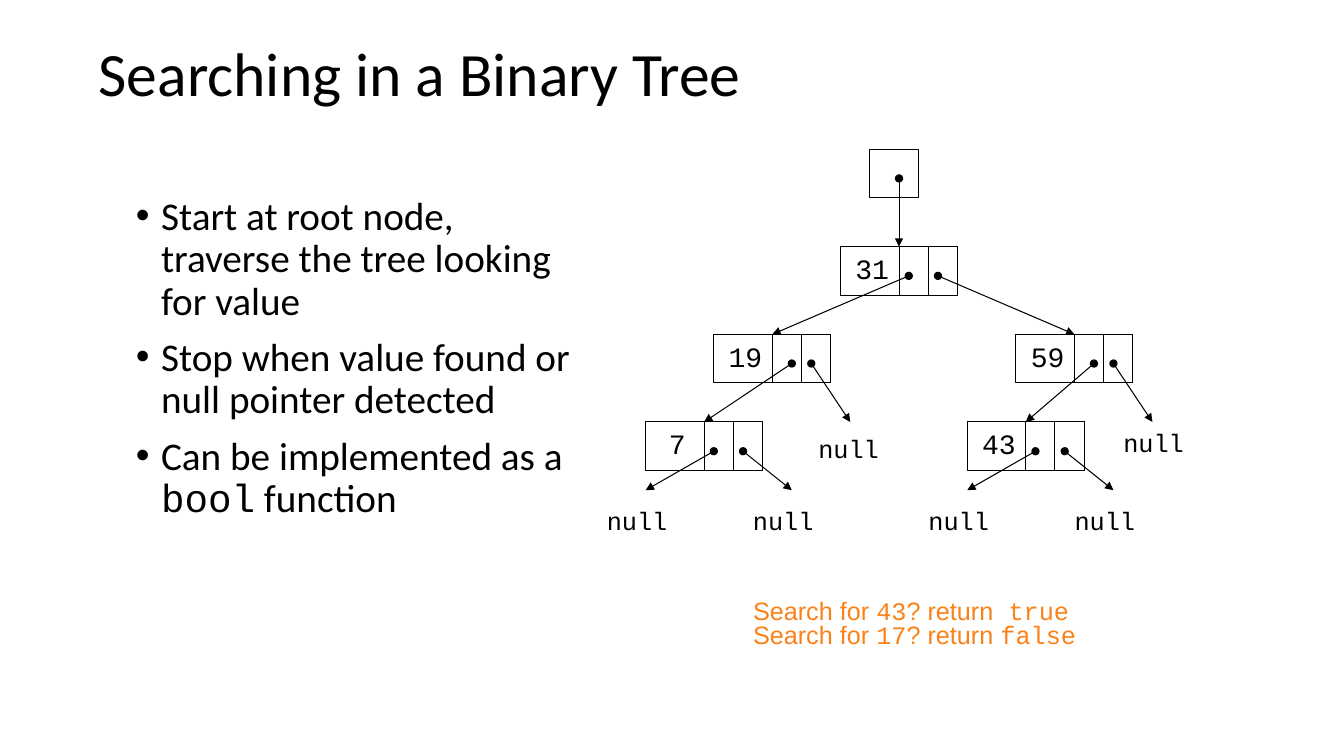
from pptx import Presentation
from pptx.dml.color import RGBColor
from pptx.enum.shapes import MSO_CONNECTOR, MSO_SHAPE
from pptx.enum.text import MSO_ANCHOR, PP_ALIGN
from pptx.oxml.ns import qn
from pptx.util import Inches, Pt
from lxml.etree import SubElement

BLACK = RGBColor(0x00, 0x00, 0x00)
ORANGE = RGBColor(0xFA, 0x82, 0x18)
SANS, MONO, ARIAL = "Calibri", "Courier New", "Arial"

TITLE = [[("Searching in a Binary Tree", SANS)]]
BULLETS = [
    [("Start at root node, traverse the tree looking for value", SANS)],
    [("Stop when value found or null pointer detected", SANS)],
    [("Can be implemented as a ", SANS), ("bool", MONO), (" function", SANS)],
]
SEARCHES = [
    [("Search for ", ARIAL), ("43", MONO), ("? return", ARIAL), (" true", MONO)],
    [("Search for ", ARIAL), ("17", MONO), ("? return ", ARIAL), ("false", MONO)],
]

# The tree lies on a square grid; places are (column, row).
UNIT, TREE_LEFT, TREE_TOP = 0.29 / 3, 5.92, 1.48
VALUE_W, LINK_W, NODE_H = 6, 3, 5
ROOT = (28, 0)
NODES = {"31": (25, 10), "59": (43, 19), "19": (12, 19), "7": (5, 28), "43": (38, 28)}
# Each node: columns from its left edge to the two link dots, then two targets.
# A target is another node's value or the grid place of a null arrow's tip.
LINKS = {
    "31": ((7, "19"), (10, "59")),
    "19": ((8, "7"), (10, (26, 28))),
    "59": ((8, "43"), (10, (57, 28))),
    "7": ((7, (5, 35)), (10, (20, 35))),
    "43": ((7, (38, 35)), (10, (53, 35))),
}
NULLS = [(21.7, 28.7), (53, 28), (0, 36), (15, 36), (33, 36), (48, 36)]


def grid(col, row):
    return Inches(TREE_LEFT + col * UNIT), Inches(TREE_TOP + row * UNIT)


def span(units):
    return Inches(units * UNIT)


def add_text(slide, lines, left, top, width, height, size, color=BLACK,
             wrap=True, anchor=MSO_ANCHOR.TOP, align=PP_ALIGN.LEFT,
             spacing=1.0, gap=0, bullet=None):
    """Each line is a list of (text, font name) runs."""
    tf = slide.shapes.add_textbox(left, top, width, height).text_frame
    tf.word_wrap, tf.vertical_anchor = wrap, anchor
    for i, runs in enumerate(lines):
        p = tf.add_paragraph() if i else tf.paragraphs[0]
        p.alignment, p.line_spacing = align, spacing
        if i and gap:
            p.space_before = Pt(gap)
        if bullet:
            pPr = p._p.get_or_add_pPr()
            pPr.set("marL", str(Inches(0.25)))
            pPr.set("indent", str(-Inches(0.25)))
            SubElement(pPr, qn("a:buFont"), typeface=ARIAL)
            SubElement(pPr, qn("a:buChar"), char=bullet)
        for text, font in runs:
            r = p.add_run()
            r.text = text
            r.font.name, r.font.size = font, Pt(size)
            r.font.color.rgb = color


def add_box(slide, col, row, cols):
    sp = slide.shapes.add_shape(MSO_SHAPE.RECTANGLE, *grid(col, row),
                                span(cols), span(NODE_H))
    sp.shadow.inherit = False
    sp.fill.background()
    sp.line.color.rgb, sp.line.width = BLACK, Pt(0.75)


def add_pointer(slide, start, end):
    line = slide.shapes.add_connector(MSO_CONNECTOR.STRAIGHT, *grid(*start), *grid(*end))
    line.line.color.rgb, line.line.width = BLACK, Pt(0.75)
    ln = line.line._get_or_add_ln()
    SubElement(ln, qn("a:headEnd"), type="oval")
    SubElement(ln, qn("a:tailEnd"), type="triangle")
    SubElement(line._element.spPr, qn("a:effectLst"))


def add_node(slide, value, col, row):
    add_box(slide, col, row, VALUE_W + 2 * LINK_W)
    for i in range(2):
        add_box(slide, col + VALUE_W + i * LINK_W, row, LINK_W)
    add_text(slide, [[(value, MONO)]], *grid(col, row), span(6.5), Inches(0.5), 20,
             wrap=False, align=PP_ALIGN.CENTER)


def main():
    prs = Presentation()
    prs.slide_width, prs.slide_height = Inches(13.33), Inches(7.5)
    slide = prs.slides.add_slide(prs.slide_layouts[6])

    add_text(slide, TITLE, Inches(0.88), Inches(0.03), Inches(11.5), Inches(1.45), 44,
             anchor=MSO_ANCHOR.MIDDLE, spacing=0.9)
    add_text(slide, BULLETS, Inches(1.25), Inches(1.9), Inches(4.67), Inches(4.05), 28,
             spacing=0.9, gap=10, bullet="•")

    add_box(slide, *ROOT, NODE_H)
    for value, place in NODES.items():
        add_node(slide, value, *place)

    add_pointer(slide, (ROOT[0] + 3, ROOT[1] + 3), (ROOT[0] + 3, NODES["31"][1]))
    for value, links in LINKS.items():
        col, row = NODES[value]
        for dot, target in links:
            if target in NODES:
                child_col, child_row = NODES[target]
                target = (child_col + VALUE_W, child_row)
            add_pointer(slide, (col + dot, row + 3), target)

    for place in NULLS:
        add_text(slide, [[("null", MONO)]], *grid(*place), Inches(0.8), Inches(0.46), 18,
                 wrap=False)
    add_text(slide, SEARCHES, Inches(7.37), Inches(5.91), Inches(3.98), Inches(0.69), 18,
             color=ORANGE, wrap=False, spacing=0.8)
    prs.save("out.pptx")


if __name__ == "__main__":
    main()
